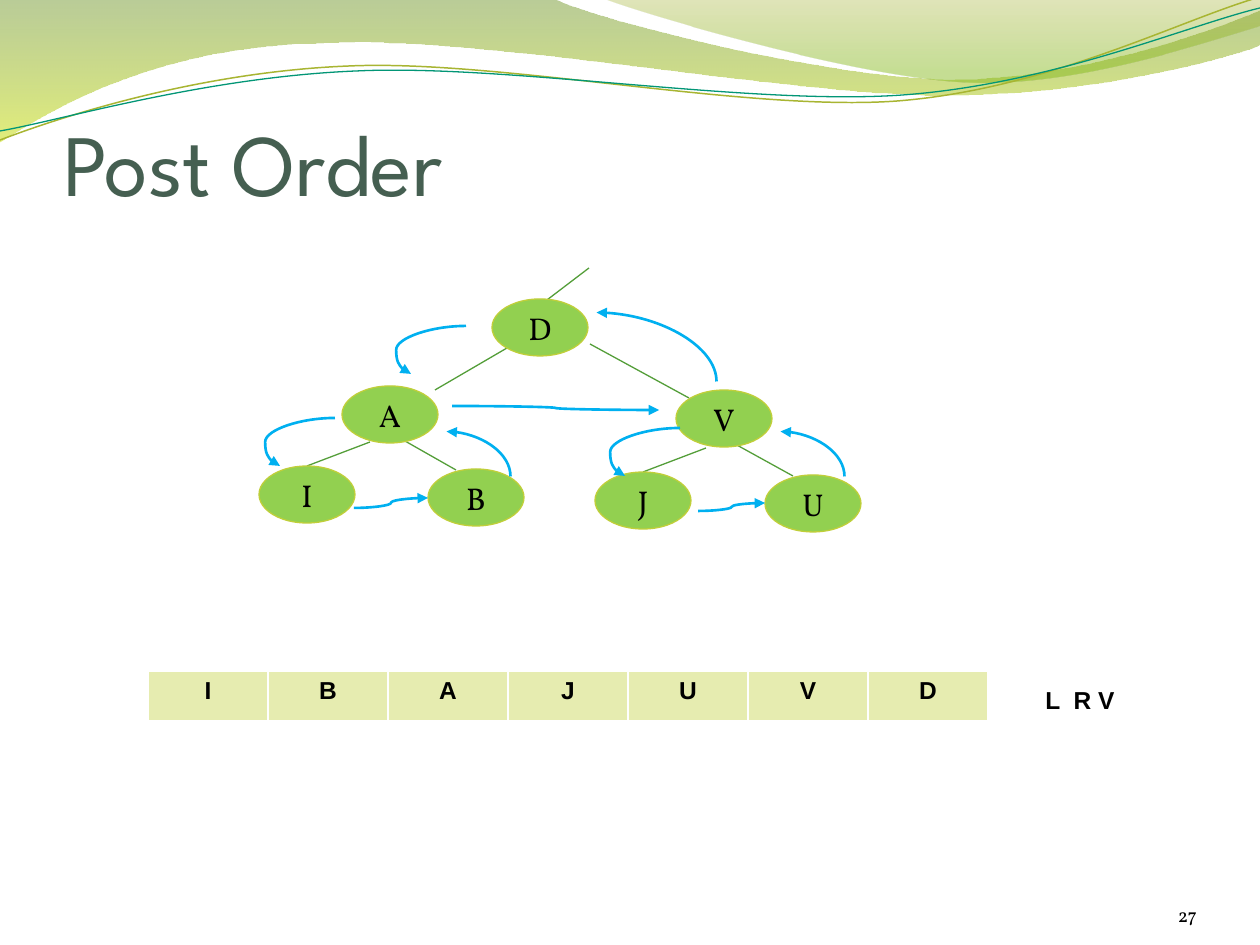
from lxml.etree import SubElement
from pptx import Presentation
from pptx.dml.color import RGBColor
from pptx.enum.shapes import MSO_CONNECTOR, MSO_SHAPE
from pptx.enum.text import MSO_ANCHOR, MSO_AUTO_SIZE, PP_ALIGN
from pptx.oxml.ns import qn
from pptx.util import Emu, Pt

# Content; all lengths are px, 126 to the inch
TITLE = "Post Order"
PAGE = "27"
RULE = "L  R V"
VISITED = ["I", "B", "A", "J", "U", "V", "D"]
NODES = {"D": (492, 299), "A": (342, 386), "V": (676, 390), "I": (259, 466),
         "B": (428, 469), "J": (595, 472), "U": (765, 475)}
EDGES = [(589, 268, 547, 300), (507, 348, 435, 390), (590, 344, 689, 398),
         (370, 442, 307, 466), (405, 441, 456, 470),
         (706, 448, 643, 472), (735, 444, 793, 476)]

# Arrow styles: preset, rotation, flipped, bend
DOWN = ("curvedConnector3", 180, True, 1.27)
LEVEL = ("curvedConnector3", 0, False, 0.5)
ACROSS = ("curvedConnector3", 0, True, 0.5)
UP = ("curvedConnector2", 270, True, None)
ARROWS = [(DOWN, 280, 418, 55, 48), (LEVEL, 452, 406, 207, 4),
          (DOWN, 411, 326, 55, 48), (UP, 456, 422, 45, 64),
          (ACROSS, 354, 498, 74, 10), (UP, 622, 287, 69, 120),
          (DOWN, 625, 428, 55, 48), (ACROSS, 698, 503, 67, 8),
          (UP, 790, 422, 45, 64)]

# Waves: start point, then segments of one point (straight) or three (curved)
BANDS = [
    ("band_back", (-1, 0), [
        [(554, -1)],
        [(599, 21), (835, 79), (955, 79)], [(1075, 79), (1207, 33), (1260, 11)],
        [(1261, 45)],
        [(1239, 55), (1095, 96), (940, 95)], [(784, 95), (480, 35), (324, 43)],
        [(163, 45), (58, 105), (-1, 142)]]),
    ("band_front", (604, -1), [
        [(641, 14), (859, 78), (968, 82)], [(1077, 87), (1211, 40), (1260, 26)],
        [(1260, 0)]]),
]
STRANDS = [
    ("strand_olive", 0.85, (0, 140), [
        [(60, 117), (198, 72), (348, 66)], [(498, 59), (746, 112), (897, 101)],
        [(1050, 89), (1182, 19), (1260, -3)]]),
    ("strand_teal", 0.75, (0, 131), [
        [(59, 121), (205, 77), (357, 71)], [(507, 64), (752, 106), (903, 95)],
        [(1053, 84), (1186, 26), (1260, 8)]]),
]

THEME = {
    "title": "455F51", "text": "000000", "node": "92D050", "node_line": "C0CF3A",
    "edge": "549E39", "arrow": "00B0F0", "cell": "E6ECB0", "cell_line": "FFFFFF",
    "strand_olive": "A8B532", "strand_teal": "029676",
    # Gradient stops: position, colour, opacity in percent
    "band_back": [(0, "668F1B", 45), (1, "CAE00E", 55)],
    "band_front": [(0, "99A719", 30), (0.8, "80B814", 45)],
    "head_font": "League Spartan", "body_font": "Vollkorn", "bold_font": "Arial",
    "title_size": 50, "node_size": 18, "label_size": 14, "page_size": 11,
}
SCALE = 914400 / 126


def px(*values):
    return [Emu(round(v * SCALE)) for v in values]


def rgb(name):
    return RGBColor.from_string(THEME.get(name, name))


def write(tf, text, font, size, color="text", align=PP_ALIGN.LEFT, bold=False):
    tf.text = text
    p = tf.paragraphs[0]
    p.alignment = align
    f = p.runs[0].font
    f.name, f.size, f.bold = THEME[font], Pt(THEME[size]), bold
    f.color.rgb = rgb(color)


def set_insets(tf, top=0):
    tf.margin_left = tf.margin_right = tf.margin_bottom = 0
    tf.margin_top = Pt(top)


def set_line(s, color, width):
    s.line.color.rgb = rgb(color)
    s.line.width = Pt(width)


def add_curve(slide, start, segments, close):
    """Build a freeform, then turn each three-point segment into a Bézier."""
    builder = slide.shapes.build_freeform(*px(*start), scale=1.0)
    builder.add_line_segments([px(*pt) for seg in segments for pt in seg], close=close)
    s = builder.convert_to_shape()
    s.shadow.inherit = False
    steps = iter(list(s._element.iter(qn("a:lnTo"))))
    for seg in segments:
        group = [next(steps) for _ in seg]
        if len(group) == 3:
            bezier = group[0]
            for step in group[1:]:
                bezier.append(step[0])
                step.getparent().remove(step)
            bezier.tag = qn("a:cubicBezTo")
    return s


def add_line(slide, kind, ends, color, width):
    s = slide.shapes.add_connector(kind, *px(*ends))
    set_line(s, color, width)
    SubElement(s._element.spPr, qn("a:effectLst"))
    return s


def add_arrow(slide, style, x, y, w, h):
    preset, rotation, flipped, bend = style
    s = add_line(slide, MSO_CONNECTOR.CURVE, (x, y, x + w, y + h), "arrow", 1.5)
    sp_pr = s._element.spPr
    xfrm, geom = sp_pr.find(qn("a:xfrm")), sp_pr.find(qn("a:prstGeom"))
    xfrm.set("rot", str(rotation * 60000))
    xfrm.set("flipV", str(int(flipped)))
    geom.set("prst", preset)
    if bend is not None:
        SubElement(geom.find(qn("a:avLst")), qn("a:gd"), name="adj1",
                   fmla=f"val {round(bend * 100000)}")
    SubElement(sp_pr.find(qn("a:ln")), qn("a:tailEnd"), type="triangle")


def add_waves(slide):
    for name, start, segments in BANDS:
        s = add_curve(slide, start, segments, True)
        s.line.fill.background()
        s.fill.gradient()
        s.fill.gradient_angle = 270
        for stop, (position, color, opacity) in zip(s.fill.gradient_stops, THEME[name]):
            stop.position = position
            stop.color.rgb = rgb(color)
            SubElement(stop._gs.find(qn("a:srgbClr")), qn("a:alpha"),
                       val=str(opacity * 1000))
    for name, width, start, segments in STRANDS:
        s = add_curve(slide, start, segments, False)
        s.fill.background()
        set_line(s, name, width)


def add_tree(slide):
    for ends in EDGES:
        add_line(slide, MSO_CONNECTOR.STRAIGHT, ends, "edge", 0.75)
    for letter, (x, y) in NODES.items():
        s = slide.shapes.add_shape(MSO_SHAPE.OVAL, *px(x, y, 96, 57))
        s.shadow.inherit = False
        s.fill.solid()
        s.fill.fore_color.rgb = rgb("node")
        set_line(s, "node_line", 0.75)
        s.text_frame.vertical_anchor = MSO_ANCHOR.MIDDLE
        write(s.text_frame, letter, "body_font", "node_size", align=PP_ALIGN.CENTER)
    for arrow in ARROWS:
        add_arrow(slide, *arrow)


def add_visited(slide):
    table = slide.shapes.add_table(1, len(VISITED),
                                   *px(148, 671, 120 * len(VISITED), 51)).table
    table.first_row = table.horz_banding = False
    for cell, letter in zip(table.iter_cells(), VISITED):
        for side, width in zip("LRTB", (1, 1, 1, 3)):
            ln = SubElement(cell._tc.get_or_add_tcPr(), qn(f"a:ln{side}"), w=str(Pt(width)))
            SubElement(SubElement(ln, qn("a:solidFill")), qn("a:srgbClr"),
                       val=THEME["cell_line"])
        cell.fill.solid()
        cell.fill.fore_color.rgb = rgb("cell")
        write(cell.text_frame, letter, "bold_font", "label_size",
              align=PP_ALIGN.CENTER, bold=True)


def main():
    prs = Presentation()
    prs.slide_width, prs.slide_height = px(1260, 945)
    slide = prs.slides.add_slide(prs.slide_layouts[5])
    add_waves(slide)

    # Title
    title = slide.shapes.title
    title.left, title.top, title.width, title.height = px(63, 57, 1134, 157)
    tf = title.text_frame
    set_insets(tf, top=3.6)
    tf.vertical_anchor = MSO_ANCHOR.BOTTOM
    write(tf, TITLE, "head_font", "title_size", "title")

    add_tree(slide)
    add_visited(slide)

    # Rule beside the table
    tf = slide.shapes.add_textbox(*px(1033, 679, 195, 43)).text_frame
    tf.word_wrap = True
    tf.auto_size = MSO_AUTO_SIZE.SHAPE_TO_FIT_TEXT
    write(tf, RULE, "bold_font", "label_size", bold=True)

    # Page number
    tf = slide.shapes.add_textbox(*px(1092, 876, 105, 50)).text_frame
    tf.word_wrap = True
    set_insets(tf)
    tf.vertical_anchor = MSO_ANCHOR.BOTTOM
    write(tf, PAGE, "body_font", "page_size", align=PP_ALIGN.RIGHT)
    prs.save("out.pptx")


if __name__ == "__main__":
    main()
